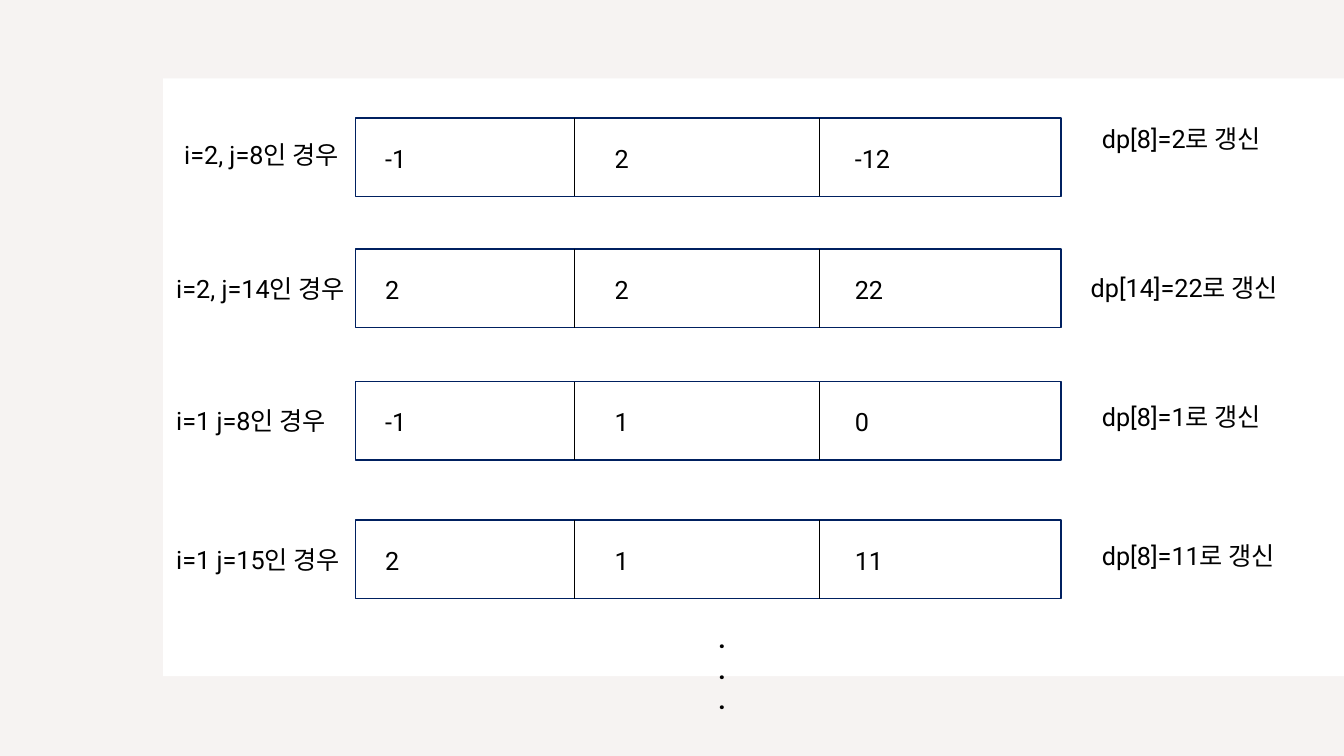
from dataclasses import dataclass

from lxml.etree import SubElement
from pptx import Presentation
from pptx.dml.color import RGBColor
from pptx.enum.shapes import MSO_CONNECTOR, MSO_SHAPE
from pptx.enum.text import MSO_AUTO_SIZE
from pptx.oxml.ns import qn
from pptx.util import Pt

COLORS = {"backdrop": "F6F3F2", "panel": "FFFFFF", "frame": "002060", "ink": "000000"}
BOX_LEFT, BOX_WIDTH, BOX_HEIGHT = 254, 504, 56
DIVIDERS = (410.5, 585.5)
VALUE_COLUMNS = ((268, 49), (432, 49), (603.5, 62))
VALUE_DROP = 14.4


@dataclass
class Note:
    text: str
    left: float
    drop: float
    width: float


@dataclass
class Case:
    top: float
    values: tuple[str, str, str]
    condition: Note
    update: Note


CASES = [
    Case(84.2, ("-1", "2", "-12"), Note("i=2, j=8인 경우", 124.5, 11.5, 143.3),
         Note("dp[8]=2로 갱신", 780, 0, 142.6)),
    Case(178, ("2", "2", "22"), Note("i=2, j=14인 경우", 118.8, 13.5, 143.3),
         Note("dp[14]=22로 갱신", 772, 13, 150.5)),
    Case(272.6, ("-1", "1", "0"), Note("i=1 j=8인 경우", 118.8, 13.5, 143.3),
         Note("dp[8]=1로 갱신", 780, 10.5, 157.7)),
    Case(371.6, ("2", "1", "11"), Note("i=1 j=15인 경우", 118.8, 13.5, 143.3),
         Note("dp[8]=11로 갱신", 780, 10.5, 157.7)),
]


def rgb(name: str) -> RGBColor:
    return RGBColor.from_string(COLORS[name])


def add_rect(shapes, left: float, top: float, width: float, height: float,
             fill: str | None = None, line: str | None = None) -> None:
    sp = shapes.add_shape(MSO_SHAPE.RECTANGLE, Pt(left), Pt(top), Pt(width), Pt(height))
    sp.shadow.inherit = False
    if fill:
        sp.fill.solid()
        sp.fill.fore_color.rgb = rgb(fill)
    else:
        sp.fill.background()
    if line:
        sp.line.color.rgb = rgb(line)
        sp.line.width = Pt(1)
    else:
        sp.line.fill.background()


def add_divider(shapes, x: float, top: float) -> None:
    cxn = shapes.add_connector(MSO_CONNECTOR.STRAIGHT, Pt(x), Pt(top), Pt(x), Pt(top + BOX_HEIGHT))
    cxn.line.color.rgb = rgb("ink")
    cxn.line.width = Pt(0.5)
    SubElement(cxn._element.spPr, qn("a:effectLst"))


def add_text(shapes, lines: list[str], left: float, top: float, width: float,
             height: float = 29, bold: bool = False) -> None:
    tf = shapes.add_textbox(Pt(left), Pt(top), Pt(width), Pt(height)).text_frame
    tf.word_wrap = True
    tf.auto_size = MSO_AUTO_SIZE.SHAPE_TO_FIT_TEXT
    for i, line in enumerate(lines):
        p = tf.add_paragraph() if i else tf.paragraphs[0]
        r = p.add_run()
        r.text = line
        r.font.name = "Roboto"
        r.font.size = Pt(18)
        r.font.bold = bold
        r.font.color.rgb = rgb("ink")


def add_case(shapes, case: Case) -> None:
    box = shapes.add_group_shape().shapes
    add_rect(box, BOX_LEFT, case.top, BOX_WIDTH, BOX_HEIGHT, line="frame")
    for x in DIVIDERS:
        add_divider(box, x, case.top)
    for value, (left, width) in zip(case.values, VALUE_COLUMNS):
        add_text(shapes, [value], left, case.top + VALUE_DROP, width)
    for note in (case.condition, case.update):
        add_text(shapes, [note.text], note.left, case.top + note.drop, note.width)


prs = Presentation()
prs.slide_width, prs.slide_height = Pt(960), Pt(540)
s = prs.slides.add_slide(prs.slide_layouts[6])
add_rect(s.shapes, 0, 0, 960, 540, fill="backdrop")
add_rect(s.shapes, 116.5, 56, 843.5, 427, fill="panel")
for case in CASES:
    add_case(s.shapes, case)
add_text(s.shapes, ["."] * 3, 506, 442, 65, 72.7, bold=True)
prs.save("out.pptx")
